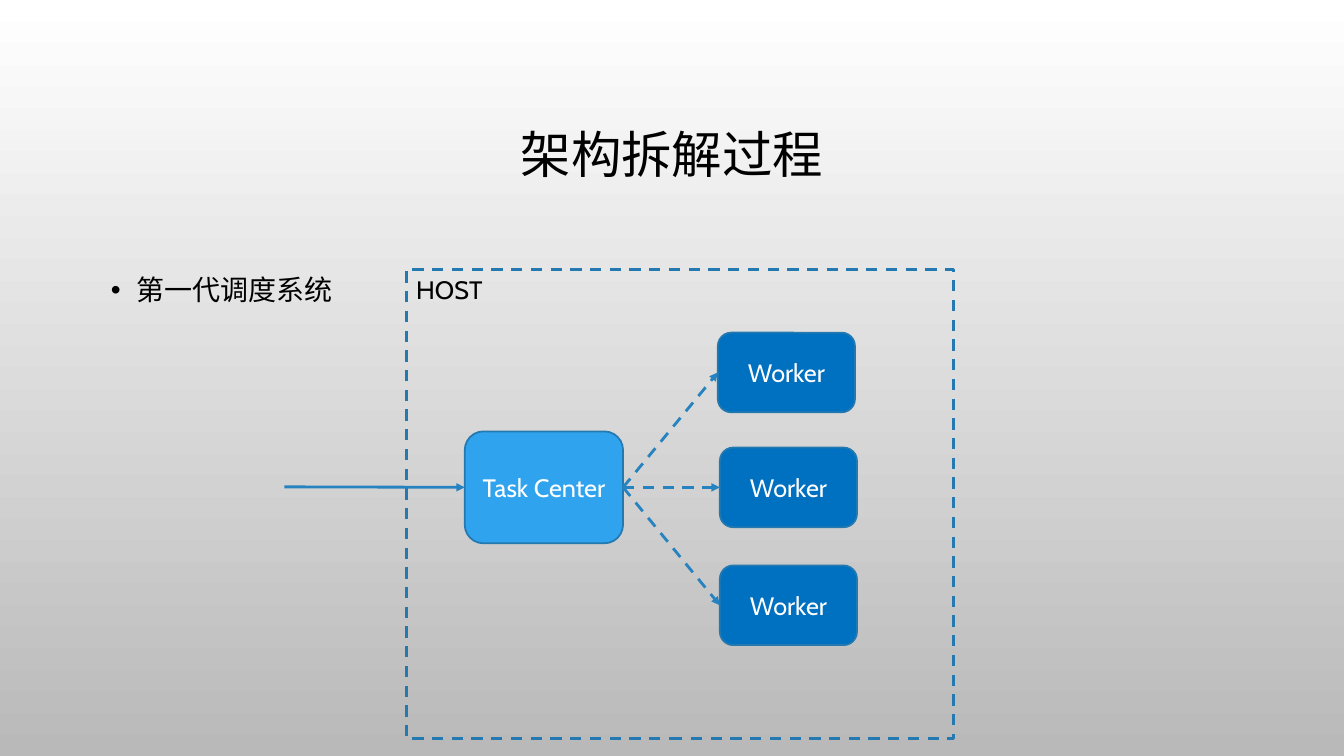
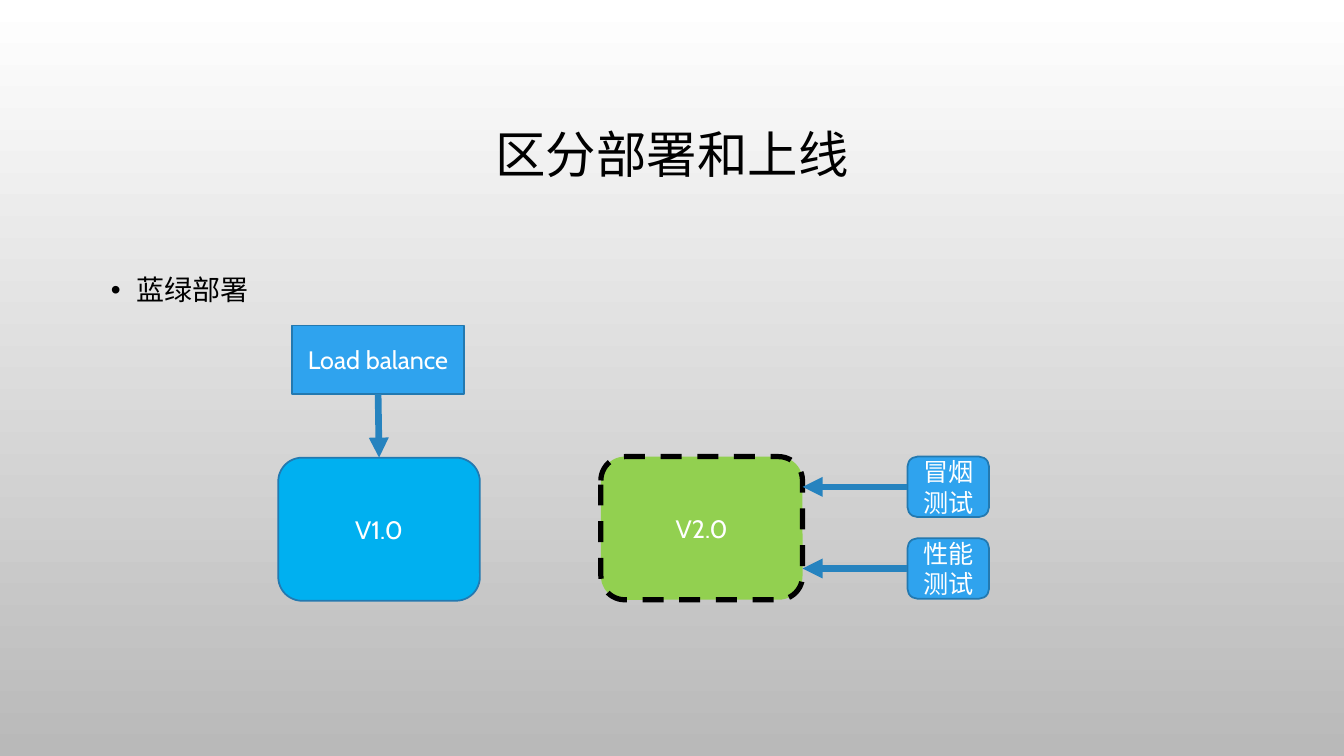
from pptx import Presentation
from pptx.dml.color import RGBColor
from pptx.enum.dml import MSO_LINE
from pptx.enum.shapes import MSO_CONNECTOR, MSO_SHAPE
from pptx.enum.text import MSO_ANCHOR, MSO_AUTO_SIZE, PP_ALIGN
from pptx.oxml.ns import qn
from pptx.util import Inches, Pt
from lxml.etree import SubElement

FONT = "Cabin"
BLACK, WHITE, EDGE, ARROW = "000000", "FFFFFF", "2379B0", "2683BF"
SKY, NAVY, CYAN, GREEN = "2FA3EE", "0070C0", "00B0F0", "92D050"
RECT, ROUND = MSO_SHAPE.RECTANGLE, MSO_SHAPE.ROUNDED_RECTANGLE
TOP, LEFT, BOTTOM, RIGHT = range(4)

WORKERS = [("top", 7.12, 3.3), ("mid", 7.14, 4.44), ("low", 7.14, 5.61)]
TESTS = [("smoke", "冒烟测试", 4.53), ("speed", "性能测试", 5.34)]

SLIDES = [
    {
        "title": "架构拆解过程",
        "items": ["第一代调度系统"],
        "boxes": [
            ("host", "HOST", RECT, (4.03, 2.67, 5.43, 4.66), None, EDGE, 2),
            ("center", "Task Center", ROUND, (4.61, 4.28, 1.57, 1.11), SKY, EDGE, 1.25),
        ] + [
            (name, "Worker", ROUND, (x, y, 1.36, 0.79), NAVY, EDGE, 1.25)
            for name, x, y in WORKERS
        ],
        "links": [
            (("center", RIGHT), (name, LEFT), 2, True) for name, x, y in WORKERS
        ] + [((2.82, 4.83), ("center", LEFT), 2, False)],
    },
    {
        "title": "区分部署和上线",
        "items": ["蓝绿部署"],
        "boxes": [
            ("blue", "V1.0", ROUND, (2.76, 4.54, 2, 1.42), CYAN, EDGE, 1.25),
            ("green", "V2.0", ROUND, (5.96, 4.53, 2, 1.42), GREEN, BLACK, 3.75),
            ("load", "Load balance", RECT, (2.9, 3.23, 1.7, 0.68), SKY, EDGE, 1.25),
        ] + [
            (name, text, ROUND, (9, y, 0.81, 0.6), SKY, EDGE, 1.25)
            for name, text, y in TESTS
        ],
        "links": [(("load", BOTTOM), ("blue", TOP), 4.75, False)] + [
            ((name, LEFT), (7.96, y + 0.3), 4.75, False) for name, text, y in TESTS
        ],
    },
]


def color(code):
    return RGBColor.from_string(code)


def write(par, text, size, code):
    run = par.add_run()
    run.text = text
    run.font.name = FONT
    run.font.size = Pt(size)
    run.font.color.rgb = color(code)


def place(shape, area):
    shape.left, shape.top, shape.width, shape.height = map(Inches, area)


def stroke(line, code, width, dash):
    line.color.rgb = color(code)
    line.width = Pt(width)
    if dash:
        line.dash_style = MSO_LINE.DASH


def style(deck):
    fill = deck.slide_master.background.fill
    fill.gradient()
    fill.gradient_angle = 270
    for stop, code in zip(fill.gradient_stops, (WHITE, "B9B9B9")):
        stop.color.rgb = color(code)
    layout = deck.slide_layouts[1]
    title, body = layout.placeholders[0], layout.placeholders[1]
    place(title, (1, 0.68, 11.33, 1.75))
    place(body, (1, 2.59, 11.33, 3.74))
    title.text_frame.vertical_anchor = MSO_ANCHOR.MIDDLE
    for holder in (title, body):
        holder.text_frame.auto_size = MSO_AUTO_SIZE.NONE
    return layout


def head(slide, title, items):
    par = slide.shapes.title.text_frame.paragraphs[0]
    par.alignment = PP_ALIGN.CENTER
    par.line_spacing = 0.9
    write(par, title, 36, BLACK)
    frame = slide.placeholders[1].text_frame
    for i, item in enumerate(items):
        par = frame.add_paragraph() if i else frame.paragraphs[0]
        par.line_spacing = 1.2
        par.space_before = Pt(10)
        props = par._p.get_or_add_pPr()
        props.set("marL", str(Inches(0.25)))
        props.set("indent", str(Inches(-0.25)))
        SubElement(props, qn("a:buChar")).set("char", "•")
        write(par, item, 20, BLACK)


def box(slide, text, kind, area, fill, edge, width):
    shape = slide.shapes.add_shape(kind, *map(Inches, area))
    shape.shadow.inherit = False
    stroke(shape.line, edge, width, width > 1.25)
    frame = shape.text_frame
    frame.word_wrap = True
    par = frame.paragraphs[0]
    if fill:
        shape.fill.solid()
        shape.fill.fore_color.rgb = color(fill)
        frame.vertical_anchor = MSO_ANCHOR.MIDDLE
        par.alignment = PP_ALIGN.CENTER
    else:
        shape.fill.background()
        frame.vertical_anchor = MSO_ANCHOR.TOP
        par.alignment = PP_ALIGN.LEFT
    write(par, text, 18, WHITE if fill else BLACK)
    return shape


def link(slide, boxes, start, end, width, dash):
    ends = [(0, 0) if p[0] in boxes else p for p in (start, end)]
    line = slide.shapes.add_connector(
        MSO_CONNECTOR.STRAIGHT, *(Inches(n) for p in ends for n in p))
    for point, join in ((start, line.begin_connect), (end, line.end_connect)):
        if point[0] in boxes:
            join(boxes[point[0]], point[1])
    stroke(line.line, ARROW, width, dash)
    SubElement(line.line._get_or_add_ln(), qn("a:tailEnd")).set("type", "triangle")
    SubElement(line._element.spPr, qn("a:effectLst"))


def main():
    deck = Presentation()
    deck.slide_width, deck.slide_height = Inches(13.33), Inches(7.5)
    layout = style(deck)
    for data in SLIDES:
        slide = deck.slides.add_slide(layout)
        head(slide, data["title"], data["items"])
        boxes = {name: box(slide, *rest) for name, *rest in data["boxes"]}
        for item in data["links"]:
            link(slide, boxes, *item)
    deck.save("out.pptx")


if __name__ == "__main__":
    main()
